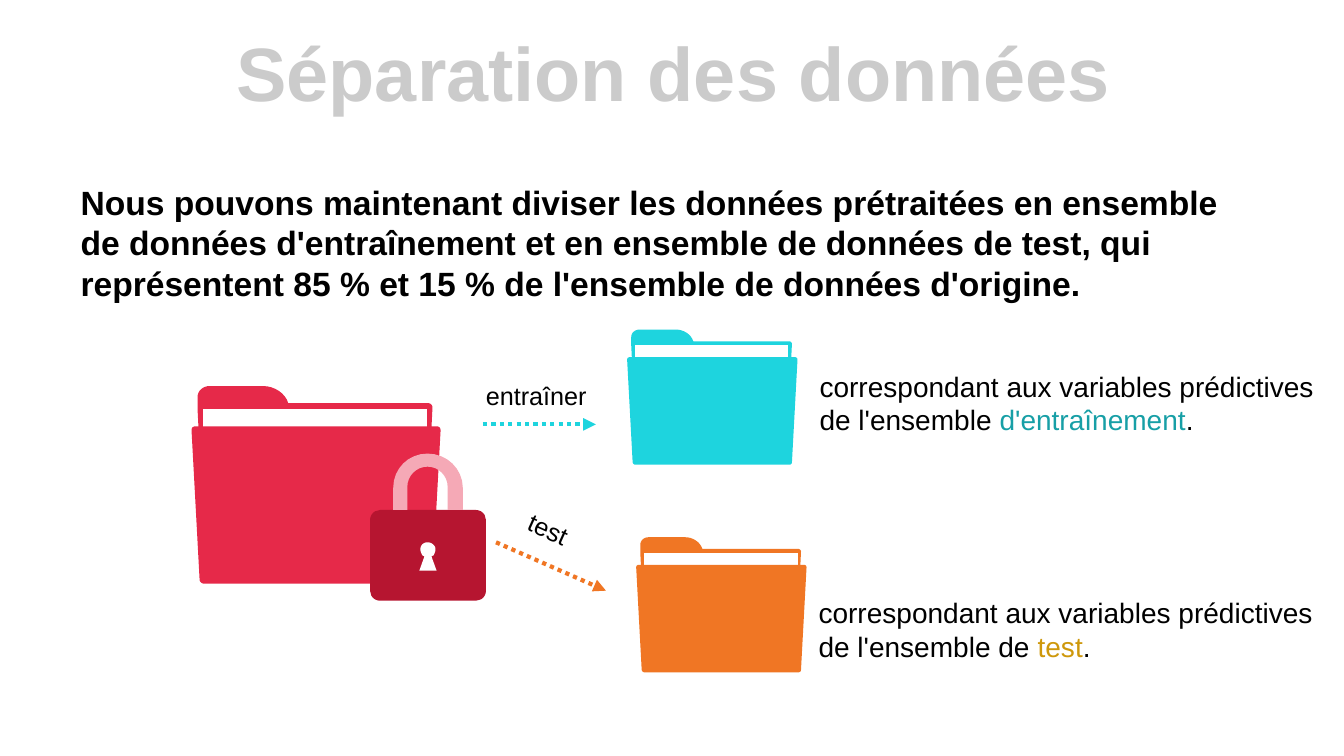
import pptx
import pptx.util
import pptx.dml.color
import pptx.enum.dml
import pptx.enum.shapes
import pptx.enum.text
import pptx.oxml
import pptx.oxml.ns

PX = 9144
COLORS = {
    "title": "CBCBCB", "text": "000000", "paper": "FFFFFF",
    "source": "E62949", "train": "1ED4DE", "test": "F07624",
    "train_word": "179FA6", "test_word": "CE980B",
    "lock": "B61530", "shackle": "F5A9B6",
}
RGB = {name: pptx.dml.color.RGBColor.from_string(value) for name, value in COLORS.items()}
CURVE_STEPS = 8

presentation = pptx.Presentation()
presentation.slide_width = 1333 * PX
presentation.slide_height = 750 * PX
slide = presentation.slides.add_slide(presentation.slide_layouts[5])
shapes = slide.shapes


def add_outline(commands, color, left=0, top=0, scale=1):
    points = [commands[0]]
    for command in commands[1:]:
        if len(command) == 2:
            points.append(command)
            continue
        start, first, second, end = points[-1], command[:2], command[2:4], command[4:]
        for step in range(1, CURVE_STEPS + 1):
            t = step / CURVE_STEPS
            u = 1 - t
            points.append(tuple(
                u**3 * a + 3 * u * u * t * b + 3 * u * t * t * c + t**3 * d
                for a, b, c, d in zip(start, first, second, end)))
    places = [((left + x * scale) * PX, (top + y * scale) * PX) for x, y in points]
    builder = shapes.build_freeform(*places[0])
    builder.add_line_segments(places[1:], close=True)
    shape = builder.convert_to_shape()
    shape.shadow.inherit = False
    shape.fill.solid()
    shape.fill.fore_color.rgb = RGB[color]
    shape.line.fill.background()
    return shape


def add_text(box, pieces, size, bold=False):
    left, top, width, height = (length * PX for length in box)
    shape = shapes.add_textbox(left, top, width, height)
    shape.text_frame.word_wrap = True
    shape.text_frame.vertical_anchor = pptx.enum.text.MSO_ANCHOR.MIDDLE
    paragraph = shape.text_frame.paragraphs[0]
    for text, color in pieces:
        run = paragraph.add_run()
        run.text = text
        run.font.name = "Arial"
        run.font.size = pptx.util.Pt(size)
        run.font.bold = bold
        run.font.color.rgb = RGB[color]
    return shape


title = shapes.title
title.left, title.top, title.width, title.height = 35 * PX, 37 * PX, 1266 * PX, 79 * PX
title.text_frame.text = "Séparation des données"
title.text_frame.vertical_anchor = pptx.enum.text.MSO_ANCHOR.MIDDLE
paragraph = title.text_frame.paragraphs[0]
paragraph.alignment = pptx.enum.text.PP_ALIGN.CENTER
paragraph.line_spacing = 0.9
font = paragraph.runs[0].font
font.name, font.size, font.bold = "Arial", pptx.util.Pt(54), True
font.color.rgb = RGB["title"]

folder_back = [
    (235, 17), (96, 17), (93, 7, 82, 0, 71, 0), (18, 0), (11, 0, 6, 5, 6, 11),
    (6, 23), (13, 165), (13, 167, 15, 169, 17, 169), (228, 169),
    (230, 169, 232, 167, 232, 165), (239, 21), (239, 19, 237, 17, 235, 17),
]
folder_paper = [(11, 23), (234, 23), (234, 163), (11, 163)]
folder_front = [
    (235, 196), (12, 196), (10, 196, 8, 194, 8, 192), (0, 44),
    (0, 41, 2, 40, 4, 40), (243, 40), (245, 40, 247, 41, 247, 44),
    (239, 192), (239, 194, 238, 196, 235, 196),
]
for name, left, top, scale in [
    ("source", 190, 383, 1), ("train", 622, 327, 0.684), ("test", 631, 533, 0.684),
]:
    shapes.add_group_shape([
        add_outline(commands, color, left, top, scale)
        for commands, color in [
            (folder_back, name), (folder_paper, "paper"), (folder_front, name),
        ]
    ])

lock_body = shapes.add_shape(
    pptx.enum.shapes.MSO_SHAPE.ROUNDED_RECTANGLE, 367 * PX, 506 * PX, 115 * PX, 90 * PX)
lock_body.adjustments[0] = 0.11
lock_body.shadow.inherit = False
lock_body.fill.solid()
lock_body.fill.fore_color.rgb = RGB["lock"]
lock_body.line.fill.background()
shackle = add_outline([
    (404, 506), (404, 483), (404, 472, 413, 463, 424, 463), (435, 463, 444, 472, 444, 483),
    (444, 506), (459, 506), (459, 484), (459, 465, 443, 450, 424, 450),
    (405, 450, 390, 465, 390, 484), (390, 506),
], "shackle")
keyhole = add_outline([
    (424, 538), (428, 538, 432, 541, 432, 545), (432, 547, 431, 549, 430, 551),
    (428, 552), (433, 566), (416, 566), (421, 552), (419, 551),
    (418, 549, 417, 547, 417, 545), (417, 541, 420, 538, 424, 538),
], "paper")
shapes.add_group_shape([lock_body, shackle, keyhole])

for color, *ends in [("train", 479, 421, 591, 421), ("test", 492, 538, 601, 586)]:
    arrow = shapes.add_connector(
        pptx.enum.shapes.MSO_CONNECTOR.STRAIGHT, *(length * PX for length in ends))
    arrow.line.color.rgb = RGB[color]
    arrow.line.width = pptx.util.Pt(3)
    arrow.line.dash_style = pptx.enum.dml.MSO_LINE.ROUND_DOT
    properties = arrow.element.spPr
    head = pptx.oxml.parse_xml(
        f'<a:tailEnd {pptx.oxml.ns.nsdecls("a")} type="triangle"/>')
    properties.find(pptx.oxml.ns.qn("a:ln")).append(head)
    properties.append(pptx.oxml.parse_xml(f'<a:effectLst {pptx.oxml.ns.nsdecls("a")}/>'))

add_text((70, 175, 1151, 131), [(
    "Nous pouvons maintenant diviser les données prétraitées en ensemble de données "
    "d'entraînement et en ensemble de données de test, qui représentent 85 % et 15 % "
    "de l'ensemble de données d'origine.", "text")], 24, bold=True)
add_text((803, 361, 521, 77), [
    ("correspondant aux variables prédictives de l'ensemble ", "text"),
    ("d'entraînement", "train_word"), (".", "text")], 20)
add_text((802, 586, 521, 77), [
    ("correspondant aux variables prédictives de l'ensemble de ", "text"),
    ("test", "test_word"), (".", "text")], 20)
add_text((472, 372, 154, 40), [("entraîner", "text")], 18)
test_label = add_text((513, 508, 82, 42), [("test", "text")], 18)
test_label.rotation = 24.5

presentation.save("out.pptx")
